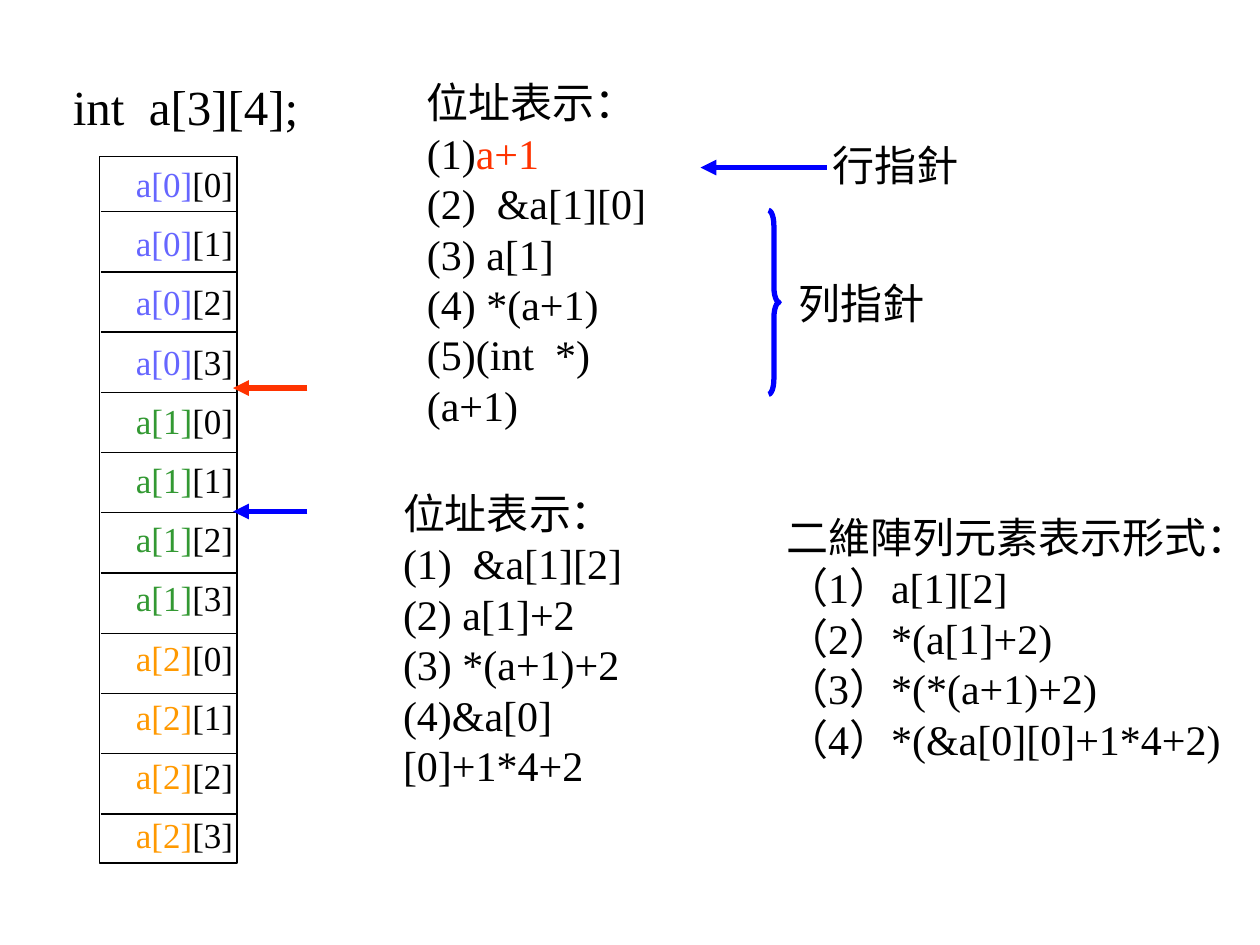
from pptx import Presentation
from pptx import util as u
from pptx.dml.color import RGBColor
from pptx.enum import shapes, text
from pptx.oxml.ns import qn
from lxml import etree

COLORS = {"ink": "000000", "row0": "6666FF", "row1": "339933",
          "row2": "FF9900", "red": "FF3300", "blue": "0000FF"}
FONT = "Times New Roman"
COLUMNS, ROWS = 100, 75
CELL = u.Inches(0.1)
ARRAY_ROWS, ARRAY_COLUMNS = 3, 4


def grid(*lengths):
    return [round(length * CELL) for length in lengths]


def color(name):
    return RGBColor.from_string(COLORS[name])


def add_text(slide, box, paragraphs, size=24, anchor="TOP", align="LEFT"):
    """Each paragraph is a list of (wording, colour name) runs."""
    frame = slide.shapes.add_textbox(*grid(*box)).text_frame
    settings = {"word_wrap": False, "vertical_anchor": getattr(text.MSO_ANCHOR, anchor)}
    for name, value in settings.items():
        setattr(frame, name, value)
    for index, runs in enumerate(paragraphs):
        paragraph = frame.add_paragraph() if index else frame.paragraphs[0]
        paragraph.alignment = getattr(text.PP_ALIGN, align)
        for wording, color_name in runs:
            run = paragraph.add_run()
            run.text = wording
            for name, value in {"name": FONT, "size": u.Pt(size)}.items():
                setattr(run.font, name, value)
            run.font.color.rgb = color(color_name)


def add_line(slide, start, end, color_name="ink", width=0.75, arrow=False):
    line = slide.shapes.add_connector(shapes.MSO_CONNECTOR.STRAIGHT, *grid(*start, *end))
    line.line.color.rgb = color(color_name)
    line.line.width = u.Pt(width)
    if arrow:
        etree.SubElement(line.line._get_or_add_ln(), qn("a:tailEnd"), type="triangle")
    etree.SubElement(line._element.spPr, qn("a:effectLst"))


def add_outline(slide, kind, box, color_name="ink", width=0.75):
    shape = slide.shapes.add_shape(kind, *grid(*box))
    shape.shadow.inherit = False
    shape.fill.background()
    shape.line.color.rgb = color(color_name)
    shape.line.width = u.Pt(width)
    return shape


def add_memory_column(slide, box):
    """Declaration above a frame of stacked array elements."""
    left, top, width, height = box
    add_text(slide, (left - 3.1, top - 6.8, 19.9, 5.7), [[("int  a[3][4];", "ink")]], size=28)
    add_outline(slide, shapes.MSO_SHAPE.RECTANGLE, box)
    line_pitch, label_pitch = 4.78, 4.7
    for index in range(ARRAY_ROWS * ARRAY_COLUMNS):
        row, column = divmod(index, ARRAY_COLUMNS)
        if index:
            y = top + 4.4 + (index - 1) * line_pitch
            add_line(slide, (left + 0.1, y), (left + width, y))
        label_box = (left + 1.9, top + index * label_pitch, 9.7, 4.4)
        add_text(slide, label_box, [[(f"a[{row}]", f"row{row}"), (f"[{column}]", "ink")]], size=20)


def add_element_pointers(slide, box):
    """Arrows to the start of row 1 and to element a[1][2]."""
    left, top, width, height = box
    for y, color_name in ((top, "red"), (top + height, "blue")):
        add_line(slide, (left + width, y), (left, y), color_name, 3, arrow=True)


def add_list(slide, box, heading, items, anchor="MIDDLE"):
    """Heading with items below; an item is plain wording or a list of runs."""
    paragraphs = [[(item, "ink")] if isinstance(item, str) else item
                  for item in [heading, *items]]
    add_text(slide, box, paragraphs, anchor=anchor)


def add_pointer_kinds(slide, box):
    """Arrow for the row pointer and brace for the column pointers."""
    left, top, width, height = box
    add_line(slide, (left + 10, top + 2.7), (left, top + 2.7), "blue", 3, arrow=True)
    brace = add_outline(slide, shapes.MSO_SHAPE.RIGHT_BRACE,
                        (left + 5.4, top + 6.1, 0.85, height - 6.1), "blue", 3)
    brace.adjustments[0] = 1.45
    for wording, x, y in (("行指針", 9.5, 0), ("列指針", 6.8, 10.9)):
        add_text(slide, (left + x, top + y, 12, 5), [[(wording, "ink")]],
                 anchor="MIDDLE", align="CENTER")


def main():
    presentation = Presentation()
    presentation.slide_width, presentation.slide_height = grid(COLUMNS, ROWS)
    slide = presentation.slides.add_slide(presentation.slide_layouts[6])

    add_memory_column(slide, (7.9, 12.4, 10.9, 56.1))
    add_element_pointers(slide, (18.5, 30.8, 5.9, 9.8))
    add_list(slide, (32.9, 7.6, 23, 25), "位址表示：",
             [[("(1)", "ink"), ("a+1", "red")], "(2)  &a[1][0]", "(3) a[1]",
              "(4) *(a+1)", "(5)(int  *) (a+1)"])
    add_pointer_kinds(slide, (55.6, 10.6, 21.5, 20.7))
    add_list(slide, (31, 40.2, 28.1, 21), "位址表示：",
             ["(1)  &a[1][2]", "(2) a[1]+2", "(3) *(a+1)+2", "(4)&a[0][0]+1*4+2"])
    add_list(slide, (61.4, 40.1, 38.9, 21), "二維陣列元素表示形式：",
             ["（1）a[1][2]", "（2）*(a[1]+2)", "（3）*(*(a+1)+2)", "（4）*(&a[0][0]+1*4+2)"],
             anchor="TOP")

    presentation.save("out.pptx")


if __name__ == "__main__":
    main()
